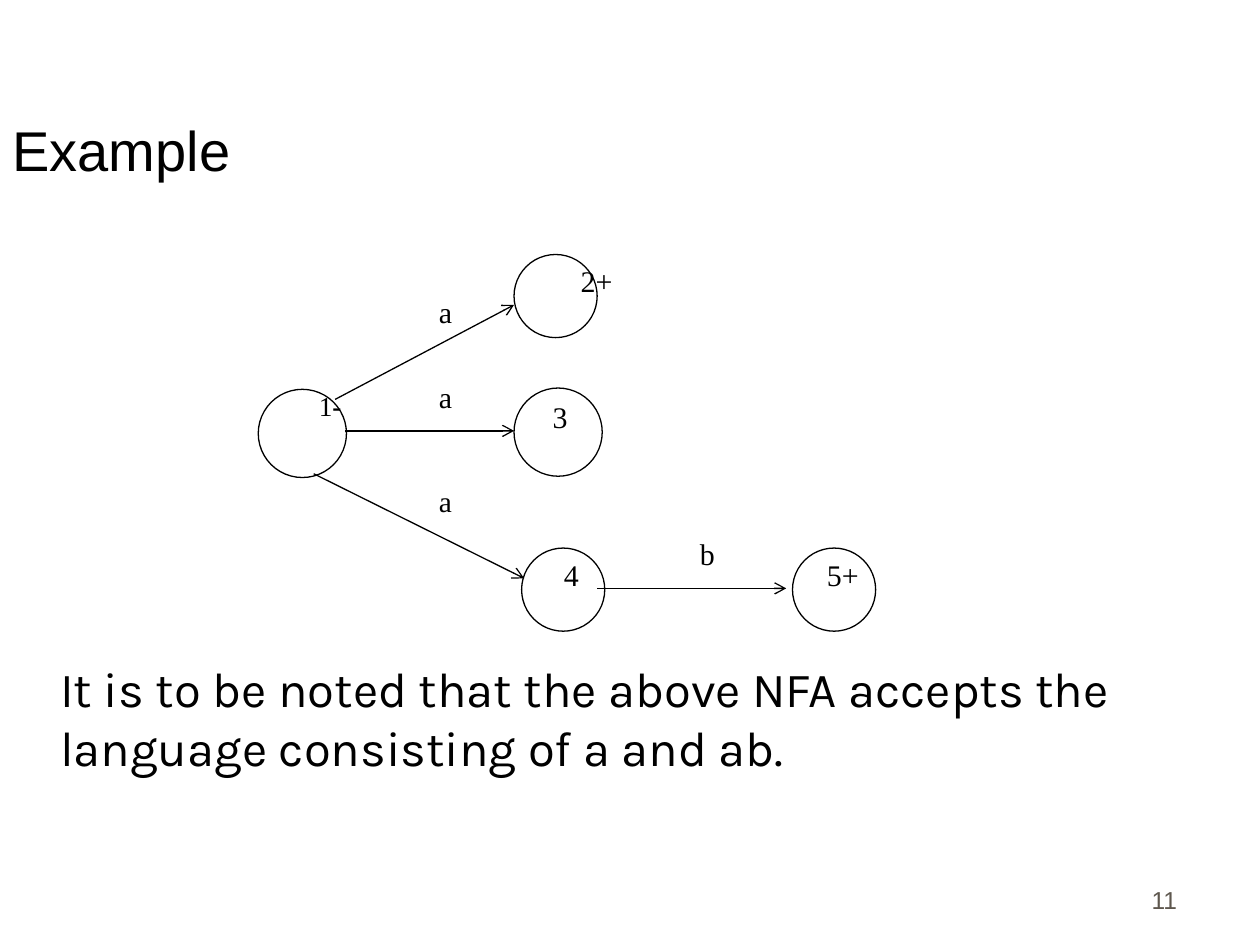
from lxml.etree import SubElement
from pptx import Presentation
from pptx.dml.color import RGBColor
from pptx.enum.shapes import MSO_CONNECTOR as Connector, MSO_SHAPE as Shape
from pptx.enum.text import MSO_ANCHOR as Anchor, PP_ALIGN as Align
from pptx.oxml.ns import qn
from pptx.util import Inches, Pt

BLACK, WHITE, GREY = "000000", "FFFFFF", "5E574E"
STATES = [
    (4.08, 2.02, 0.66),
    (2.05, 3.09, 0.7),
    (4.08, 3.08, 0.7),
    (4.14, 4.35, 0.66),
    (6.29, 4.35, 0.66),
]
ARROWS = [
    (2.66, 3.17, 4.08, 2.42),
    (2.74, 3.42, 4.08, 3.42),
    (2.49, 3.76, 4.16, 4.59),
    (4.74, 4.67, 6.24, 4.67),
]
LABELS = [
    (["a"], 17.1, (3.33, 2.34, 0.41, 0.4)),
    (["a"], 17.1, (3.33, 3.01, 0.41, 0.4)),
    (["a"], 16.8, (3.33, 3.84, 0.41, 0.4)),
    (["b"], 17.1, (5.41, 4.26, 0.41, 0.4)),
    (["1", "-"], 15.6, (2.16, 3.09, 0.92, 0.37)),
    (["2+"], 17.1, (4.18, 2.09, 1.11, 0.4)),
    (["3"], 17.1, (4.24, 3.17, 0.41, 0.4)),
    (["4"], 17.1, (4.33, 4.42, 0.41, 0.4)),
    (["5+"], 17.1, (6.36, 4.42, 0.66, 0.42)),
]
TITLE = "Example"
NOTE = "It is to be noted that the above NFA accepts the language consisting of a and ab."
NUMBER = "11"
LABEL_FORMAT = {"alignment": Align.CENTER, "line_spacing": 0.8}


def paint(color, value):
    color.rgb = RGBColor.from_string(value)


def outline(line):
    paint(line.color, BLACK) if line.fill.type else line.fill.solid()
    paint(line.color, BLACK)
    line.width = Pt(0.75)


def add_text(page, pieces, place, size, face, color=BLACK, anchor=Anchor.TOP, layout=None):
    frame = page.shapes.add_textbox(*map(Inches, place)).text_frame
    frame.word_wrap = True
    frame.vertical_anchor = anchor
    para = frame.paragraphs[0]
    for name, value in (layout or {}).items():
        setattr(para, name, value)
    for index, piece in enumerate(pieces):
        span = para.add_run()
        span.text = piece
        for name, value in {"size": Pt(size), "name": face, "bold": index > 0}.items():
            setattr(span.font, name, value)
        paint(span.font.color, color)


def add_state(page, left, top, size):
    circle = page.shapes.add_shape(Shape.OVAL, *map(Inches, (left, top, size, size)))
    circle.shadow.inherit = False
    circle.fill.solid()
    paint(circle.fill.fore_color, WHITE)
    outline(circle.line)


def add_arrow(page, *ends):
    arrow = page.shapes.add_connector(Connector.STRAIGHT, *map(Inches, ends))
    outline(arrow.line)
    SubElement(arrow.line._get_or_add_ln(), qn("a:tailEnd"), type="arrow")
    SubElement(arrow._element.spPr, qn("a:effectLst"))


def main():
    """Build the slide with a nondeterministic automaton and its note."""
    deck = Presentation()
    deck.slide_width, deck.slide_height = Inches(10), Inches(7.5)
    page = deck.slides.add_slide(deck.slide_layouts[6])
    add_text(page, [TITLE], (0, 0.25, 8.5, 1.25), 32, "Arial", anchor=Anchor.BOTTOM)
    for state in STATES:
        add_state(page, *state)
    for arrow in ARROWS:
        add_arrow(page, *arrow)
    for pieces, size, place in LABELS:
        add_text(page, pieces, place, size, "Times New Roman", layout=LABEL_FORMAT)
    add_text(page, [NOTE], (0.38, 5.18, 8.56, 1.05), 28, "Karla")
    add_text(page, [NUMBER], (7.36, 6.81, 2.08, 0.5), 14, "Arial", GREY, Anchor.BOTTOM,
             {"alignment": Align.RIGHT})
    deck.save("out.pptx")


if __name__ == "__main__":
    main()
